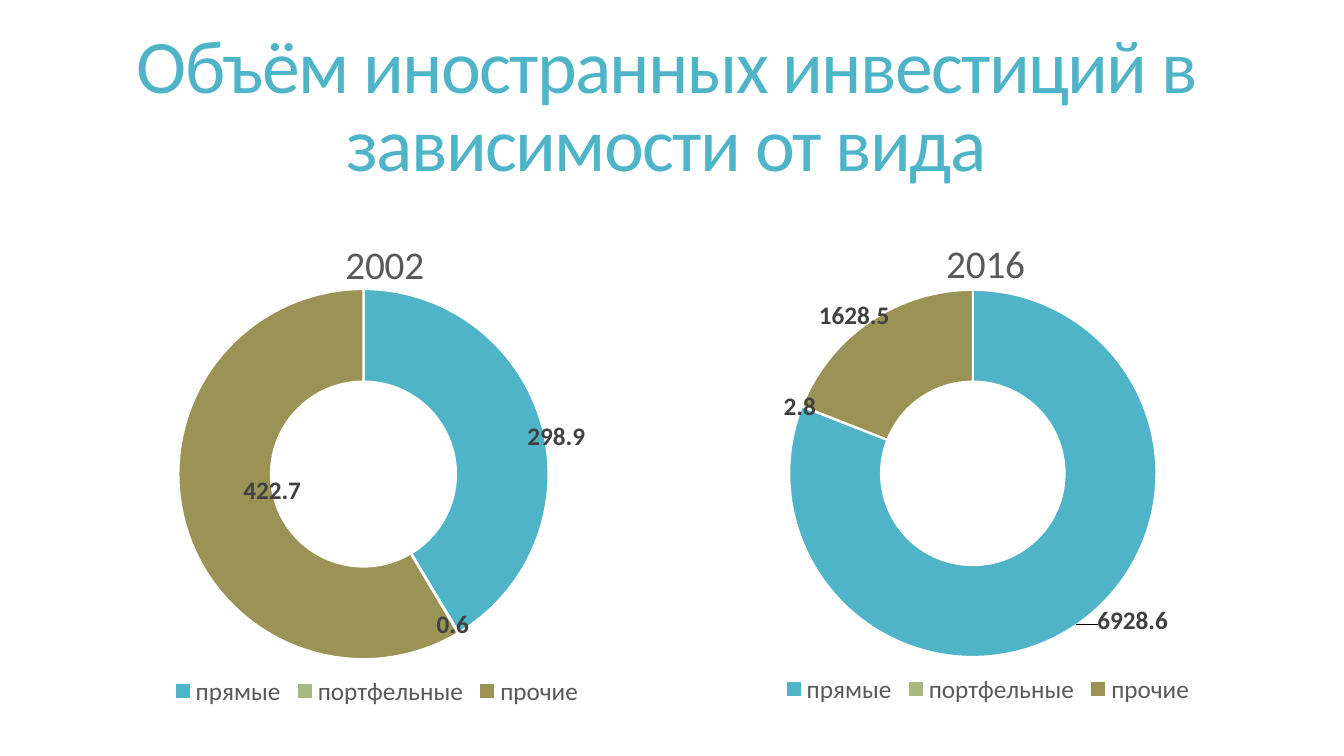
"""Builds a slide comparing foreign investment by kind in 2002 and 2016."""
from lxml.etree import SubElement
from pptx import Presentation
from pptx.chart.data import CategoryChartData
from pptx.dml.color import RGBColor
from pptx.enum.chart import XL_CHART_TYPE, XL_LEGEND_POSITION
from pptx.enum.text import MSO_ANCHOR, PP_ALIGN
from pptx.oxml.ns import qn
from pptx.util import Inches, Pt

HEADING = "Объём иностранных инвестиций в зависимости от вида"
HEADING_BOX = (0.72, 0.18, 11.78, 1.81)
KINDS = {"прямые": "50B4C8", "портфельные": "A8B97F", "прочие": "9B9256"}
YEARS = [
    {"year": "2002", "box": (0.72, 2.01, 6.03, 5.05),
     "amounts": (298.9, 0.6, 422.7),
     "ring": (0.174, 0.17, 0.609, 0.727), "caption": (0.437, 0.056),
     "label_shifts": [(0.097, 0), (0.03, 0.062), (0.07, -0.04)]},
    {"year": "2016", "box": (6.75, 1.99, 6.09, 5.05),
     "amounts": (6928.6, 2.8, 1628.5),
     "ring": (0.177, 0.175, 0.598, 0.722), "caption": (0.421, 0.058),
     "label_shifts": [(0.134, 0.065), (-0.073, -0.033), (-0.067, -0.087)]},
]
HEADING_FONT = {"size": Pt(54), "name": "Calibri", "color": "50B4C8"}
CAPTION_FONT = {"size": Pt(28), "name": "Calibri", "color": "595959", "bold": False}
LEGEND_FONT = {"size": Pt(18), "name": "Calibri", "color": "595959"}
LABEL_FONT = {"size": Pt(18), "name": "Calibri", "color": "404040", "bold": True}


def rgb(code):
    return RGBColor.from_string(code)


def style(font, values):
    for key, value in values.items():
        if key == "color":
            font.color.rgb = rgb(value)
        else:
            setattr(font, key, value)


def set_layout(parent, index, fractions, modes=()):
    for old in parent.findall(qn("c:layout")):
        parent.remove(old)
    layout = SubElement(parent, qn("c:layout"))
    manual = SubElement(layout, qn("c:manualLayout"))
    settings = [*modes, *zip("xywh", fractions)]
    for tag, value in settings:
        SubElement(manual, qn(f"c:{tag}")).set("val", str(value))
    parent.insert(index, layout)


def add_heading(slide):
    box = slide.shapes.add_textbox(*map(Inches, HEADING_BOX))
    frame = box.text_frame
    frame.word_wrap = True
    frame.vertical_anchor = MSO_ANCHOR.MIDDLE
    paragraph = frame.paragraphs[0]
    paragraph.alignment = PP_ALIGN.CENTER
    paragraph.line_spacing = 0.85
    run = paragraph.add_run()
    run.text = HEADING
    style(run.font, HEADING_FONT)
    run.font._element.set("spc", "-120")


def add_ring(slide, entry):
    data = CategoryChartData()
    data.categories = list(KINDS)
    data.add_series(entry["year"], entry["amounts"])
    chart = slide.shapes.add_chart(
        XL_CHART_TYPE.DOUGHNUT, *map(Inches, entry["box"]), data).chart
    style(chart.font, {"size": Pt(10), "name": "Calibri"})

    caption = chart.chart_title.text_frame
    caption.text = entry["year"]
    style(caption.paragraphs[0].runs[0].font, CAPTION_FONT)
    edges = [("xMode", "edge"), ("yMode", "edge")]
    set_layout(chart.chart_title._element, 1, entry["caption"], edges)

    chart.has_legend = True
    chart.legend.position = XL_LEGEND_POSITION.BOTTOM
    chart.legend.include_in_layout = False
    style(chart.legend.font, LEGEND_FONT)

    plot = chart.plots[0]
    plot.vary_by_categories = True
    area = plot._element.getparent()
    set_layout(area, 0, entry["ring"], [("layoutTarget", "inner"), *edges])
    plot._element.find(qn("c:holeSize")).set("val", "75")

    series = plot.series[0]
    series.data_labels.show_value = True
    style(series.data_labels.font, LABEL_FONT)
    for index, color in enumerate(KINDS.values()):
        point = series.points[index]
        point.format.fill.solid()
        point.format.fill.fore_color.rgb = rgb(color)
        point.format.line.color.rgb = rgb("FFFFFF")
        point.format.line.width = Pt(1.5)
        style(point.data_label.font, LABEL_FONT)
    labels = series._element.findall(".//" + qn("c:dLbl"))
    for label, shift in zip(labels, entry["label_shifts"]):
        set_layout(label, 1, shift)


deck = Presentation()
deck.slide_width, deck.slide_height = Inches(13.33), Inches(7.5)
slide = deck.slides.add_slide(deck.slide_layouts[6])
add_heading(slide)
for entry in YEARS:
    add_ring(slide, entry)
deck.save("out.pptx")
